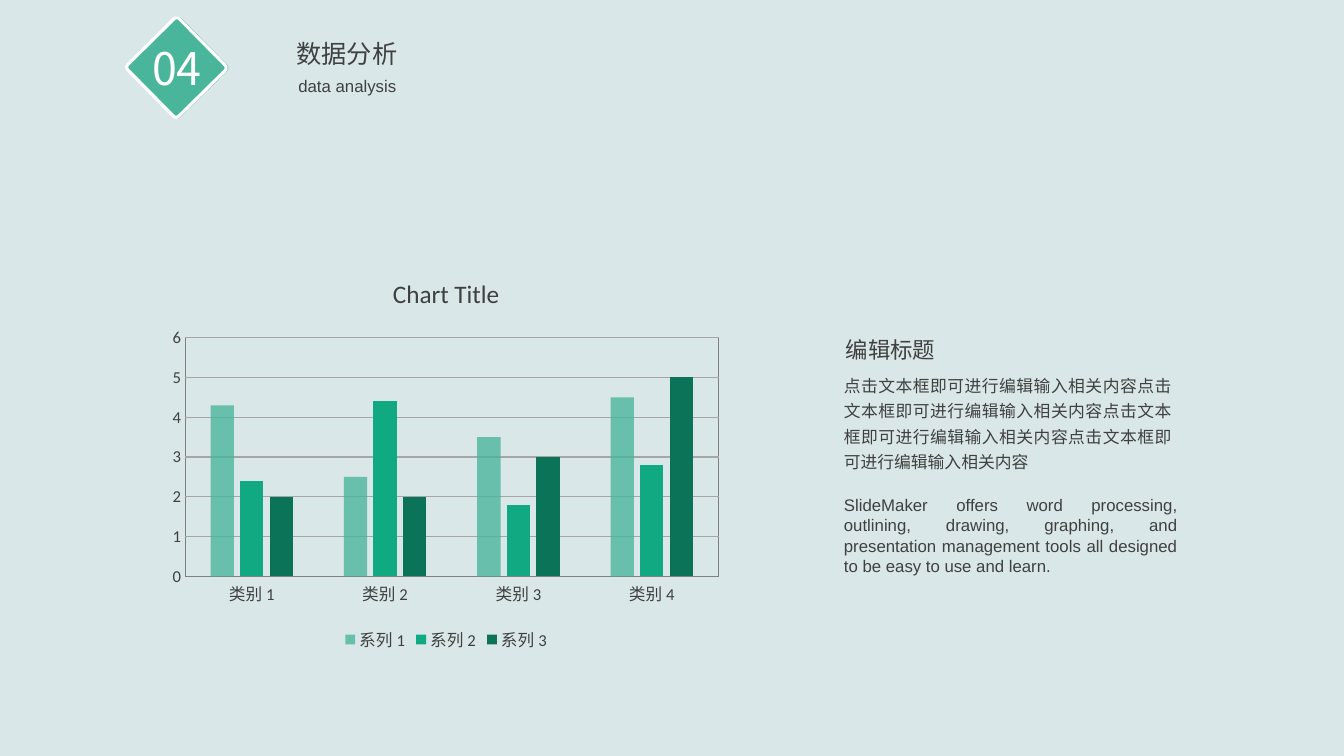
from dataclasses import dataclass
from typing import Optional

from lxml.etree import SubElement
from pptx import Presentation
from pptx.chart.data import CategoryChartData
from pptx.dml.color import RGBColor
from pptx.enum.chart import XL_CHART_TYPE, XL_LEGEND_POSITION, XL_TICK_MARK
from pptx.enum.shapes import MSO_SHAPE
from pptx.enum.text import MSO_AUTO_SIZE, PP_ALIGN
from pptx.oxml import parse_xml
from pptx.oxml.ns import nsdecls, qn
from pptx.util import Inches, Pt


@dataclass(frozen=True)
class Theme:
    background: str = "D9E7E8"
    ink: str = "404040"
    white: str = "FFFFFF"
    green: str = "10A981"
    light_green: str = "49B59A"
    dark_green: str = "0B7358"
    axis: str = "808080"
    grid: str = "A6A6A6"
    cjk_font: str = "Noto Sans CJK SC"
    latin_font: str = "Arial"
    chart_font: str = "Calibri"
    number_size: float = 32
    title_size: float = 18
    heading_size: float = 16
    body_size: float = 12
    chart_size: float = 11.9
    line_width: float = 0.75
    badge_line: float = 2.25


THEME = Theme()


@dataclass(frozen=True)
class Badge:
    left: float
    top: float
    size: float
    corner: float
    fill: str
    line: Optional[str] = None


@dataclass(frozen=True)
class Label:
    text: str
    box: tuple[float, float, float, float]
    size: float
    font: str = THEME.cjk_font
    color: str = THEME.ink
    align: PP_ALIGN = PP_ALIGN.LEFT
    spacing: Optional[float] = None
    inset: bool = True


@dataclass(frozen=True)
class Series:
    name: str
    values: tuple[float, ...]
    color: str
    opacity: int = 100


BADGES = (
    Badge(1.39, 0.3, 0.74, 0.06, THEME.green),
    Badge(1.39, 0.31, 0.72, 0.05, THEME.light_green, THEME.white),
)

LABELS = (
    Label("04", (1.37, 0.35, 0.77, 0.64), THEME.number_size,
          color=THEME.white, align=PP_ALIGN.CENTER),
    Label("数据分析", (0.73, 0.33, 5.42, 0.4), THEME.title_size, align=PP_ALIGN.CENTER),
    Label("data analysis", (0.7, 0.7, 5.49, 0.3), THEME.body_size,
          THEME.latin_font, align=PP_ALIGN.CENTER),
    Label("点击文本框即可进行编辑输入相关内容" * 4, (8.27, 3.63, 3.45, 1.11),
          THEME.body_size, align=PP_ALIGN.JUSTIFY, spacing=1.25),
    Label("编辑标题", (8.29, 3.29, 1.49, 0.37), THEME.heading_size),
    Label("SlideMaker offers word processing, outlining, drawing, graphing, and "
          "presentation management tools all designed to be easy to use and learn.",
          (8.37, 4.91, 3.31, 0.81), THEME.body_size, THEME.latin_font,
          align=PP_ALIGN.JUSTIFY, inset=False),
)

CATEGORIES = tuple(f"类别 {n}" for n in range(1, 5))
SERIES = (
    Series("系列 1", (4.3, 2.5, 3.5, 4.5), THEME.light_green, 78),
    Series("系列 2", (2.4, 4.4, 1.8, 2.8), THEME.green),
    Series("系列 3", (2, 2, 3, 5), THEME.dark_green),
)
CHART_BOX = (1.61, 2.56, 5.63, 3.95)
PLOT_LAYOUT = {"x": 0.04, "y": 0.2, "w": 0.94, "h": 0.6}


def rgb(color: str) -> RGBColor:
    return RGBColor.from_string(color)


def style_font(font, name: str, size: float, color: str) -> None:
    font.name = name
    font.size = Pt(size)
    font.color.rgb = rgb(color)


def style_line(line, color: str, width: float = THEME.line_width) -> None:
    line.color.rgb = rgb(color)
    line.width = Pt(width)


def add_badge(slide, badge: Badge) -> None:
    sp = slide.shapes.add_shape(
        MSO_SHAPE.ROUNDED_RECTANGLE,
        *map(Inches, (badge.left, badge.top, badge.size, badge.size)))
    sp.adjustments[0] = badge.corner
    sp.rotation = 45.4
    sp.shadow.inherit = False
    sp.fill.solid()
    sp.fill.fore_color.rgb = rgb(badge.fill)
    if badge.line:
        style_line(sp.line, badge.line, THEME.badge_line)
    else:
        sp.line.fill.background()


def add_label(slide, label: Label) -> None:
    tf = slide.shapes.add_textbox(*map(Inches, label.box)).text_frame
    tf.word_wrap = True
    tf.auto_size = MSO_AUTO_SIZE.SHAPE_TO_FIT_TEXT
    if not label.inset:
        tf.margin_left = tf.margin_right = tf.margin_top = tf.margin_bottom = 0
    tf.text = label.text
    p = tf.paragraphs[0]
    p.alignment = label.align
    if label.spacing:
        p.line_spacing = label.spacing
    r = p.runs[0]
    style_font(r.font, label.font, label.size, label.color)
    SubElement(r.font._element, qn("a:ea"), typeface=label.font)


def frame_plot(chart) -> None:
    """Fix the inner plot position and outline it."""
    area = chart._chartSpace.chart.plotArea
    for old in area.findall(qn("c:layout")):
        area.remove(old)
    layout = SubElement(area, qn("c:layout"))
    area.insert(0, layout)
    manual = SubElement(layout, qn("c:manualLayout"))
    SubElement(manual, qn("c:layoutTarget"), val="inner")
    for mode in ("xMode", "yMode"):
        SubElement(manual, qn(f"c:{mode}"), val="edge")
    for key, value in PLOT_LAYOUT.items():
        SubElement(manual, qn(f"c:{key}"), val=str(value))
    area.append(parse_xml(
        f'<c:spPr {nsdecls("c", "a")}><a:noFill/><a:ln w="{Pt(THEME.line_width)}">'
        f'<a:solidFill><a:srgbClr val="{THEME.axis}"/></a:solidFill></a:ln></c:spPr>'))


def add_column_chart(slide) -> None:
    data = CategoryChartData()
    data.categories = CATEGORIES
    for series in SERIES:
        data.add_series(series.name, series.values)
    chart = slide.shapes.add_chart(
        XL_CHART_TYPE.COLUMN_CLUSTERED, *map(Inches, CHART_BOX), data).chart
    style_font(chart.font, THEME.chart_font, THEME.chart_size, THEME.ink)

    chart.has_title = True
    tf = chart.chart_title.text_frame
    tf.text = "Chart Title"
    r = tf.paragraphs[0].runs[0]
    style_font(r.font, THEME.chart_font, THEME.title_size, THEME.ink)
    r.font.bold = False

    chart.has_legend = True
    chart.legend.position = XL_LEGEND_POSITION.BOTTOM
    chart.legend.include_in_layout = False
    for part in (chart.legend, chart.category_axis.tick_labels, chart.value_axis.tick_labels):
        style_font(part.font, THEME.chart_font, THEME.chart_size, THEME.ink)

    for axis in (chart.category_axis, chart.value_axis):
        axis.major_tick_mark = axis.minor_tick_mark = XL_TICK_MARK.NONE
    style_line(chart.category_axis.format.line, THEME.axis)
    values = chart.value_axis
    values.format.line.fill.background()
    values.minimum_scale, values.maximum_scale, values.major_unit = 0, 6, 1
    style_line(values.major_gridlines.format.line, THEME.grid)

    plot = chart.plots[0]
    plot.gap_width, plot.overlap, plot.vary_by_categories = 219, -27, False
    for columns, series in zip(plot.series, SERIES):
        fill = columns.format.fill
        fill.solid()
        fill.fore_color.rgb = rgb(series.color)
        if series.opacity < 100:
            clr = columns.format._element.spPr.find(f".//{qn('a:srgbClr')}") \
                if hasattr(columns.format, "_element") \
                else columns._element.find(f".//{qn('a:srgbClr')}")
            SubElement(clr, qn("a:alpha"), val=str(series.opacity * 1000))
    frame_plot(chart)


def main() -> None:
    prs = Presentation()
    prs.slide_width, prs.slide_height = Inches(13.33), Inches(7.5)
    slide = prs.slides.add_slide(prs.slide_layouts[6])
    slide.background.fill.solid()
    slide.background.fill.fore_color.rgb = rgb(THEME.background)
    for badge in BADGES:
        add_badge(slide, badge)
    add_column_chart(slide)
    for label in LABELS:
        add_label(slide, label)
    prs.save("out.pptx")


if __name__ == "__main__":
    main()
